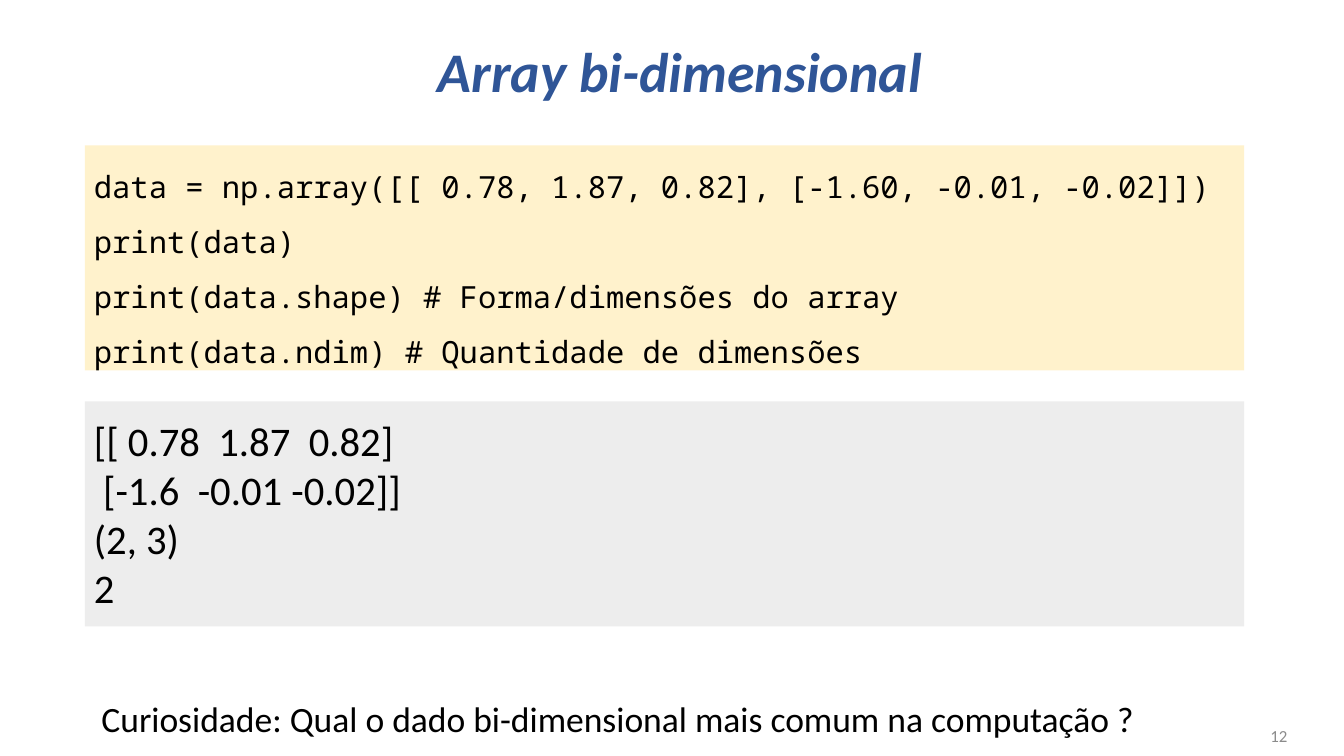
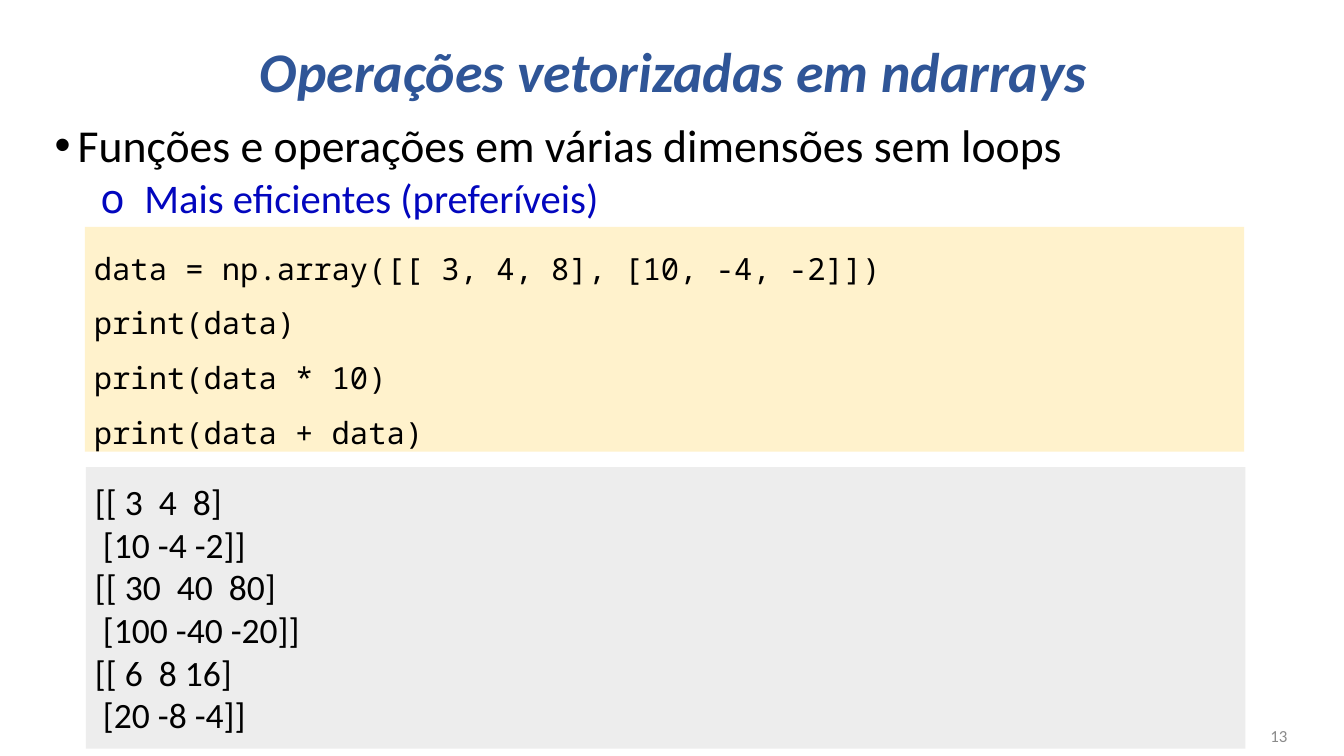
from dataclasses import dataclass

from lxml.etree import SubElement
from pptx import Presentation
from pptx.dml.color import RGBColor
from pptx.enum.shapes import MSO_SHAPE
from pptx.enum.text import MSO_ANCHOR, MSO_AUTO_SIZE, PP_ALIGN
from pptx.oxml.ns import qn
from pptx.util import Cm, Pt


@dataclass(frozen=True)
class Theme:
    sans: str = "Calibri"
    mono: str = "Noto Sans Mono"
    title: str = "2F5597"
    ink: str = "000000"
    accent: str = "0206BE"
    muted: str = "8B8B8B"
    code_fill: str = "FFF2CC"
    out_fill: str = "EDEDED"
    title_size: float = 44
    lead_size: float = 36
    sub_size: float = 32
    note_size: float = 28
    code_size: float = 24
    page_size: float = 13.3


THEME = Theme()
LEFT, WIDTH, CODE_H = 2.36, 32.21, 6.25

# Tops and heights are in centimetres.
SLIDES = [
    {
        "page": "12",
        "title": "Array bi-dimensional",
        "code_top": 4.04,
        "code": [
            "data = np.array([[ 0.78, 1.87, 0.82], [-1.60, -0.01, -0.02]])",
            "print(data)",
            "print(data.shape) # Forma/dimensões do array",
            "print(data.ndim) # Quantidade de dimensões",
        ],
        "out_box": (LEFT, 11.15, WIDTH, CODE_H),
        "out_size": THEME.sub_size,
        "out": ["[[ 0.78  1.87  0.82]", " [-1.6  -0.01 -0.02]]", "(2, 3)", "2"],
        "note": "Curiosidade: Qual o dado bi-dimensional mais comum na computação ?",
    },
    {
        "page": "13",
        "title": "Operações vetorizadas em ndarrays ",
        "points": [
            ("Funções e operações em várias dimensões sem loops", 0),
            ("Mais eficientes (preferíveis)", 1),
        ],
        "code_top": 6.3,
        "code": [
            "data = np.array([[ 3, 4, 8], [10, -4, -2]])",
            "print(data)",
            "print(data * 10)",
            "print(data + data)",
        ],
        "out_box": (2.39, 12.98, WIDTH, 7.82),
        "out_size": THEME.note_size,
        "out": ["[[ 3  4  8]", " [10 -4 -2]]", "[[ 30  40  80]",
                " [100 -40 -20]]", "[[ 6  8 16]", " [20 -8 -4]]"],
    },
]

# Per level: size, colour, space before, left margin, hanging indent, mark, mark font
LEVELS = [
    (THEME.lead_size, THEME.ink, 10, 0.64, 0.64, "•", "Arial"),
    (THEME.sub_size, THEME.accent, 5, 2.49, 1.22, "o", THEME.mono),
]


def style(para, size, color=THEME.ink, face=THEME.sans, align=PP_ALIGN.LEFT, gap=1.0):
    para.alignment, para.line_spacing = align, gap
    para.space_before = Pt(0)
    font = para.font
    font.name, font.size = face, Pt(size)
    font.color.rgb = RGBColor.from_string(color)


def write(shape, lines, anchor=MSO_ANCHOR.TOP, wrap=True, **look):
    frame = shape.text_frame
    frame.auto_size = MSO_AUTO_SIZE.NONE
    frame.word_wrap, frame.vertical_anchor = wrap, anchor
    frame.text = "\n".join(lines)
    for para in frame.paragraphs:
        style(para, **look)
    return frame


def label(slide, box, lines, **look):
    return write(slide.shapes.add_textbox(*map(Cm, box)), lines, **look)


def panel(slide, box, fill, lines, **look):
    shape = slide.shapes.add_shape(MSO_SHAPE.RECTANGLE, *map(Cm, box))
    shape.shadow.inherit = False
    shape.fill.solid()
    shape.fill.fore_color.rgb = RGBColor.from_string(fill)
    shape.line.fill.background()
    write(shape, lines, **look)


def bullet(para, level):
    size, color, before, left, hang, mark, face = LEVELS[level]
    para.level = level
    props = para._p.get_or_add_pPr()
    props.set("marL", str(Cm(left)))
    props.set("indent", str(-Cm(hang)))
    para.line_spacing, para.space_before = 0.9, Pt(before)
    SubElement(props, qn("a:buFont")).set("typeface", face)
    SubElement(props, qn("a:buChar")).set("char", mark)
    font = para.font
    font.name, font.size = THEME.sans, Pt(size)
    font.color.rgb = RGBColor.from_string(color)


def head(slide, text):
    title = slide.shapes.title
    title.left, title.top, title.width, title.height = map(Cm, (2.57, 0.05, 32.66, 4.06))
    frame = write(title, [text], anchor=MSO_ANCHOR.MIDDLE, size=THEME.title_size,
                  color=THEME.title, align=PP_ALIGN.CENTER, gap=0.9)
    font = frame.paragraphs[0].font
    font.bold = font.italic = True


def points(slide, items):
    box = slide.shapes.add_textbox(*map(Cm, (1.27, 3.28, 34.37, 17.35)))
    frame = box.text_frame
    frame.word_wrap = True
    frame.text = "\n".join(text for text, _ in items)
    for para, (_, level) in zip(frame.paragraphs, items):
        bullet(para, level)


def build(deck, data):
    slide = deck.slides.add_slide(deck.slide_layouts[5])
    head(slide, data["title"])
    if "points" in data:
        points(slide, data["points"])
    panel(slide, (LEFT, data["code_top"], WIDTH, CODE_H), THEME.code_fill, data["code"],
          size=THEME.code_size, face=THEME.mono, gap=1.5)
    panel(slide, data["out_box"], THEME.out_fill, data["out"],
          anchor=MSO_ANCHOR.MIDDLE, size=data["out_size"])
    label(slide, (27.61, 19.89, 8.41, 1.12), [data["page"]], anchor=MSO_ANCHOR.MIDDLE,
          size=THEME.page_size, color=THEME.muted, align=PP_ALIGN.RIGHT)
    if "note" in data:
        label(slide, (2.57, 19.23, 29.51, 1.45), [data["note"]], wrap=False,
              size=THEME.note_size)


def main():
    deck = Presentation()
    deck.slide_width, deck.slide_height = Cm(37.34), Cm(21)
    for data in SLIDES:
        build(deck, data)
    deck.save("out.pptx")


if __name__ == "__main__":
    main()
